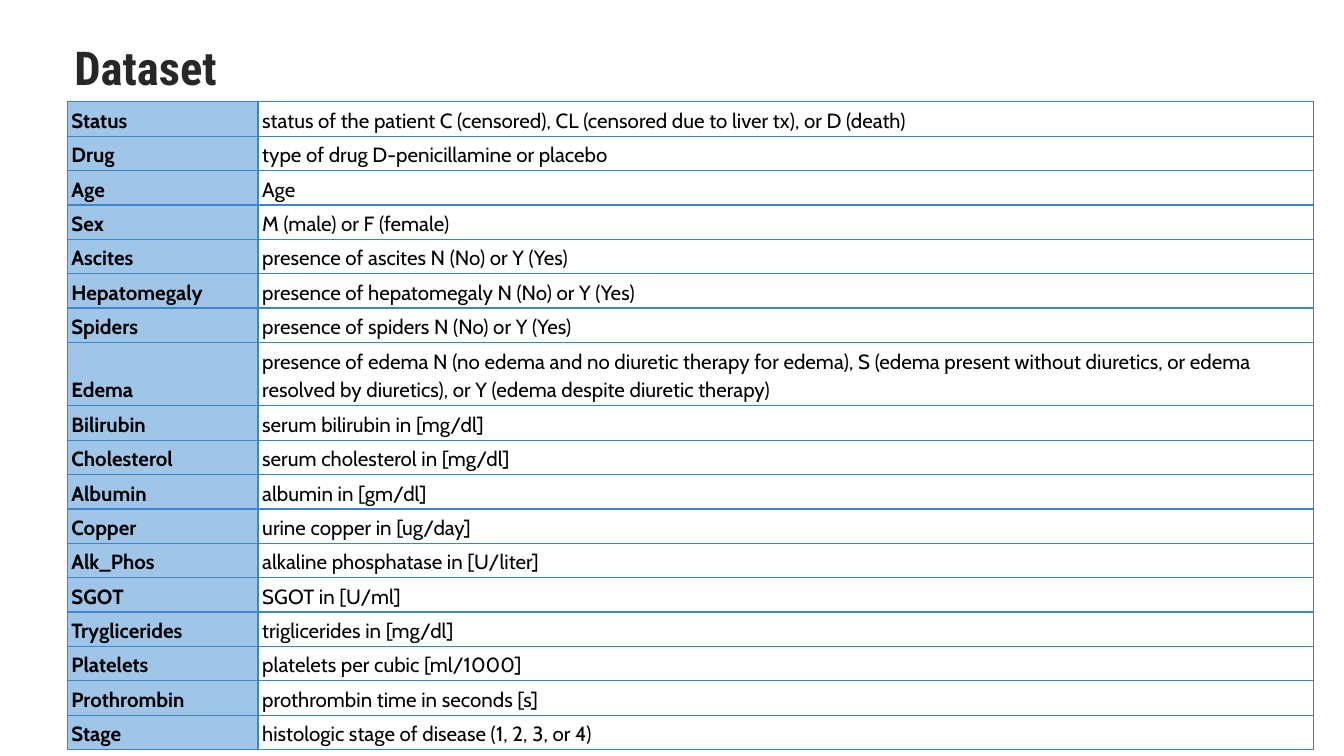
from lxml import etree
from pptx import Presentation
from pptx.dml.color import RGBColor
from pptx.enum import text
from pptx.oxml import ns
from pptx.util import Pt

BLUE, LABEL_FILL, WHITE = "3D85C6", "9FC5E8", "FFFFFF"

VARIABLES = [
    ("Status", "status of the patient C (censored), CL (censored due to liver tx), or D (death)"),
    ("Drug", "type of drug D-penicillamine or placebo"),
    ("Age", "Age"),
    ("Sex", "M (male) or F (female)"),
    ("Ascites", "presence of ascites N (No) or Y (Yes)"),
    ("Hepatomegaly", "presence of hepatomegaly N (No) or Y (Yes)"),
    ("Spiders", "presence of spiders N (No) or Y (Yes)"),
    ("Edema", "presence of edema N (no edema and no diuretic therapy for edema), "
              "S (edema present without diuretics, or edema resolved by diuretics), "
              "or Y (edema despite diuretic therapy)"),
    ("Bilirubin", "serum bilirubin in [mg/dl]"),
    ("Cholesterol", "serum cholesterol in [mg/dl]"),
    ("Albumin", "albumin in [gm/dl]"),
    ("Copper", "urine copper in [ug/day]"),
    ("Alk_Phos", "alkaline phosphatase in [U/liter]"),
    ("SGOT", "SGOT in [U/ml]"),
    ("Tryglicerides", "triglicerides in [mg/dl]"),
    ("Platelets", "platelets per cubic [ml/1000]"),
    ("Prothrombin", "prothrombin time in seconds [s]"),
    ("Stage", "histologic stage of disease (1, 2, 3, or 4)"),
]


def rgb(value):
    return RGBColor.from_string(value)


def write(tf, words, *, size, font, color="000000", bold=False,
          align=text.PP_ALIGN.LEFT, spacing=1.0):
    p = tf.paragraphs[0]
    p.alignment, p.line_spacing = align, spacing
    r = p.add_run()
    r.text = words
    r.font.size, r.font.name, r.font.bold = Pt(size), font, bold
    r.font.color.rgb = rgb(color)


def add_borders(cell, color, width):
    """Draw all four sides; lines must come before the fill in tcPr."""
    tcPr = cell._tc.get_or_add_tcPr()
    for i, side in enumerate(("lnL", "lnR", "lnT", "lnB")):
        ln = etree.Element(ns.qn(f"a:{side}"), w=str(Pt(width)))
        fill = etree.SubElement(ln, ns.qn("a:solidFill"))
        etree.SubElement(fill, ns.qn("a:srgbClr"), val=color)
        tcPr.insert(i, ln)


def place_title(s, words, left, top, width, height):
    sp = s.shapes.title
    sp.left, sp.top, sp.width, sp.height = map(Pt, (left, top, width, height))
    tf = sp.text_frame
    tf.word_wrap, tf.auto_size = True, text.MSO_AUTO_SIZE.NONE
    tf.vertical_anchor = text.MSO_ANCHOR.TOP
    tf.margin_left = tf.margin_right = tf.margin_top = tf.margin_bottom = Pt(7.2)
    write(tf, words, size=25, font="Roboto Condensed", color="272727", bold=True,
          align=text.PP_ALIGN.CENTER)


def fill_cell(cell, words, fill, bold):
    cell.fill.solid()
    cell.fill.fore_color.rgb = rgb(fill)
    cell.margin_left = cell.margin_right = Pt(2.25)
    cell.margin_top = cell.margin_bottom = Pt(1.5)
    cell.vertical_anchor = text.MSO_ANCHOR.BOTTOM
    write(cell.text_frame, words, size=11, font="Cabin", bold=bold, spacing=1.15)
    add_borders(cell, BLUE, 0.75)


def add_variable_table(s, rows, left, top, width, label_width, row_height):
    frame = s.shapes.add_table(len(rows), 2, Pt(left), Pt(top), Pt(width),
                               Pt(row_height * len(rows)))
    table = frame.table
    table.first_row = table.horz_banding = False
    table.columns[0].width = Pt(label_width)
    table.columns[1].width = Pt(width - label_width)
    for row, (name, meaning) in zip(table.rows, rows):
        row.height = Pt(row_height * (2 if len(meaning) > 100 else 1))
        fill_cell(row.cells[0], name, LABEL_FILL, True)
        fill_cell(row.cells[1], meaning, WHITE, False)


def main():
    prs = Presentation()
    prs.slide_width, prs.slide_height = Pt(720), Pt(405)
    s = prs.slides.add_slide(prs.slide_layouts[5])
    place_title(s, "Dataset", 17.5, 13.5, 121, 38)
    add_variable_table(s, VARIABLES, 36, 54.5, 667.5, 102.25, 16.5)
    prs.save("out.pptx")


if __name__ == "__main__":
    main()
